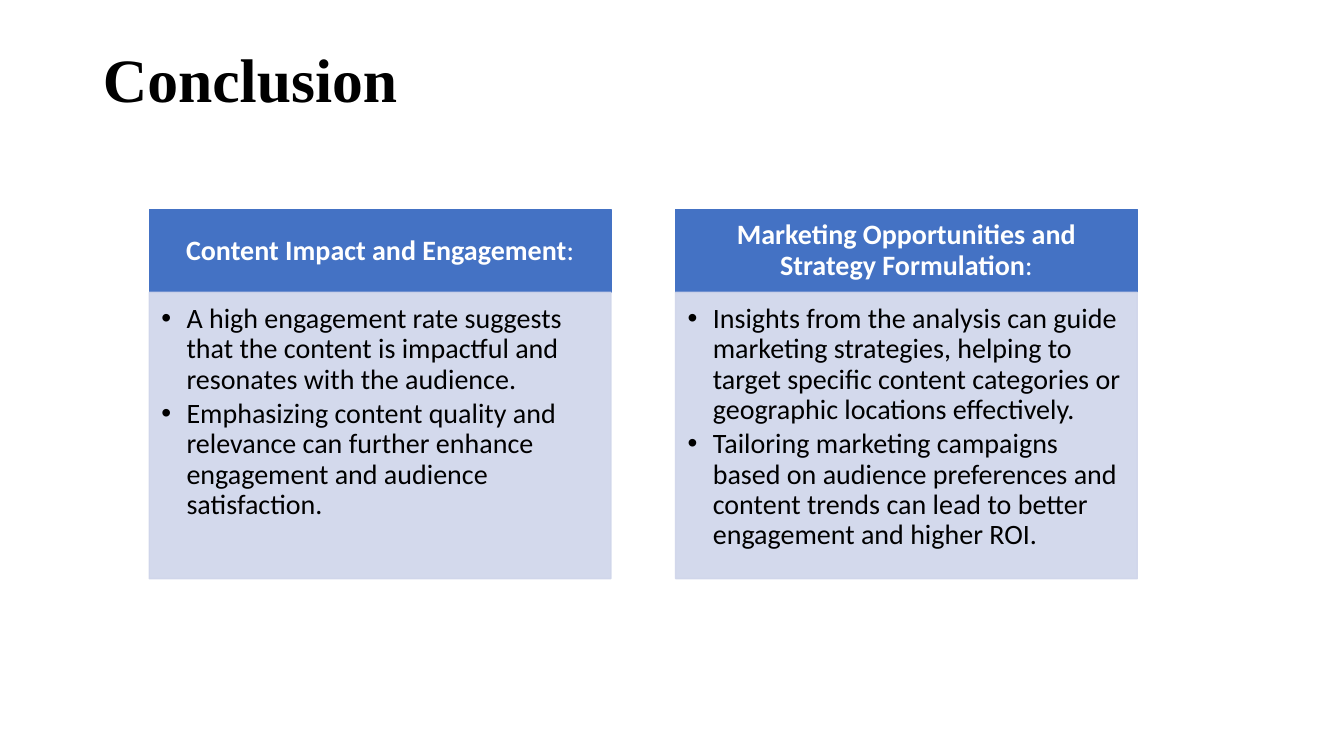
"""Build the Conclusion slide with two headed panels of takeaways."""
from lxml.etree import SubElement
from pptx import Presentation
from pptx.dml.color import RGBColor
from pptx.enum.text import MSO_ANCHOR as Anchor, MSO_AUTO_SIZE as AutoSize, PP_ALIGN as Align
from pptx.oxml.ns import qn
from pptx.util import Inches, Pt

COLORS = {"black": "000000", "white": "FFFFFF", "header": "4472C4", "panel": "CFD5EA"}
PANELS = [
    ("Content Impact and Engagement", [
        "A high engagement rate suggests that the content is impactful and resonates with the audience.",
        "Emphasizing content quality and relevance can further enhance engagement and audience satisfaction.",
    ]),
    ("Marketing Opportunities and Strategy Formulation", [
        "Insights from the analysis can guide marketing strategies, helping to target specific content "
        "categories or geographic locations effectively.",
        "Tailoring marketing campaigns based on audience preferences and content trends can lead to "
        "better engagement and higher ROI.",
    ]),
]
PANEL_LEFT, PANEL_STEP, PANEL_WIDTH = 1.48, 5.22, 4.58


def place(holder, box, margins, anchor, color=None):
    """Position a placeholder, set its text frame and optionally colour it."""
    holder.left, holder.top, holder.width, holder.height = map(Inches, box)
    frame = holder.text_frame
    frame.margin_left, frame.margin_top, frame.margin_right, frame.margin_bottom = map(Inches, margins)
    frame.vertical_anchor = anchor
    frame.word_wrap = True
    frame.auto_size = AutoSize.NONE
    if color:
        holder.fill.solid()
        holder.line.width = Pt(1)
        for paint in (holder.fill, holder.line.fill):
            paint.solid()
            paint.fore_color.rgb = RGBColor.from_string(COLORS[color])
    return frame


def style(paragraph, font_name, size, color, bold=None):
    """Set the font and line spacing of a paragraph."""
    paragraph.line_spacing = 0.9
    paragraph.space_before = Pt(0)
    paragraph.font.name = font_name
    paragraph.font.size = Pt(size)
    paragraph.font.bold = bold
    paragraph.font.color.rgb = RGBColor.from_string(COLORS[color])


deck = Presentation()
deck.slide_width, deck.slide_height = Inches(13.33), Inches(7.5)
slide = deck.slides.add_slide(deck.slide_layouts.get_by_name("Comparison"))
holders = slide.placeholders

heading = place(slide.shapes.title, (0.92, 0.4, 11.5, 1.45), (0.1, 0.09, 0.1, 0.05), Anchor.TOP)
heading.text = "Conclusion"
heading.paragraphs[0].alignment = Align.LEFT
style(heading.paragraphs[0], "Times New Roman", 44, "black", True)

for index, (topic, takeaways) in enumerate(PANELS):
    left = PANEL_LEFT + index * PANEL_STEP

    header = place(holders[1 + 2 * index], (left, 2.08, PANEL_WIDTH, 0.82),
                   (0.16, 0.09, 0.16, 0.09), Anchor.MIDDLE, "header")
    topic_line = header.paragraphs[0]
    topic_line.alignment = Align.CENTER
    style(topic_line, "Calibri", 20, "white", True)
    topic_line.add_run().text = topic
    colon = topic_line.add_run()
    colon.text = ":"
    colon.font.bold = False

    panel = holders[2 + 2 * index]
    body = place(panel, (left, 2.9, PANEL_WIDTH, 2.84), (0.12, 0.12, 0.16, 0.17), Anchor.TOP, "panel")
    for tint in panel._element.spPr.iter(qn("a:srgbClr")):
        SubElement(tint, qn("a:alpha"), val="90000")
    body.text = "\n".join(takeaways)
    for takeaway in body.paragraphs:
        style(takeaway, "Calibri", 20, "black")
        takeaway.space_after = Pt(3)
        properties = takeaway._p.get_or_add_pPr()
        properties.set("marL", str(Inches(0.25)))
        properties.set("indent", str(Inches(-0.25)))

deck.save("out.pptx")
